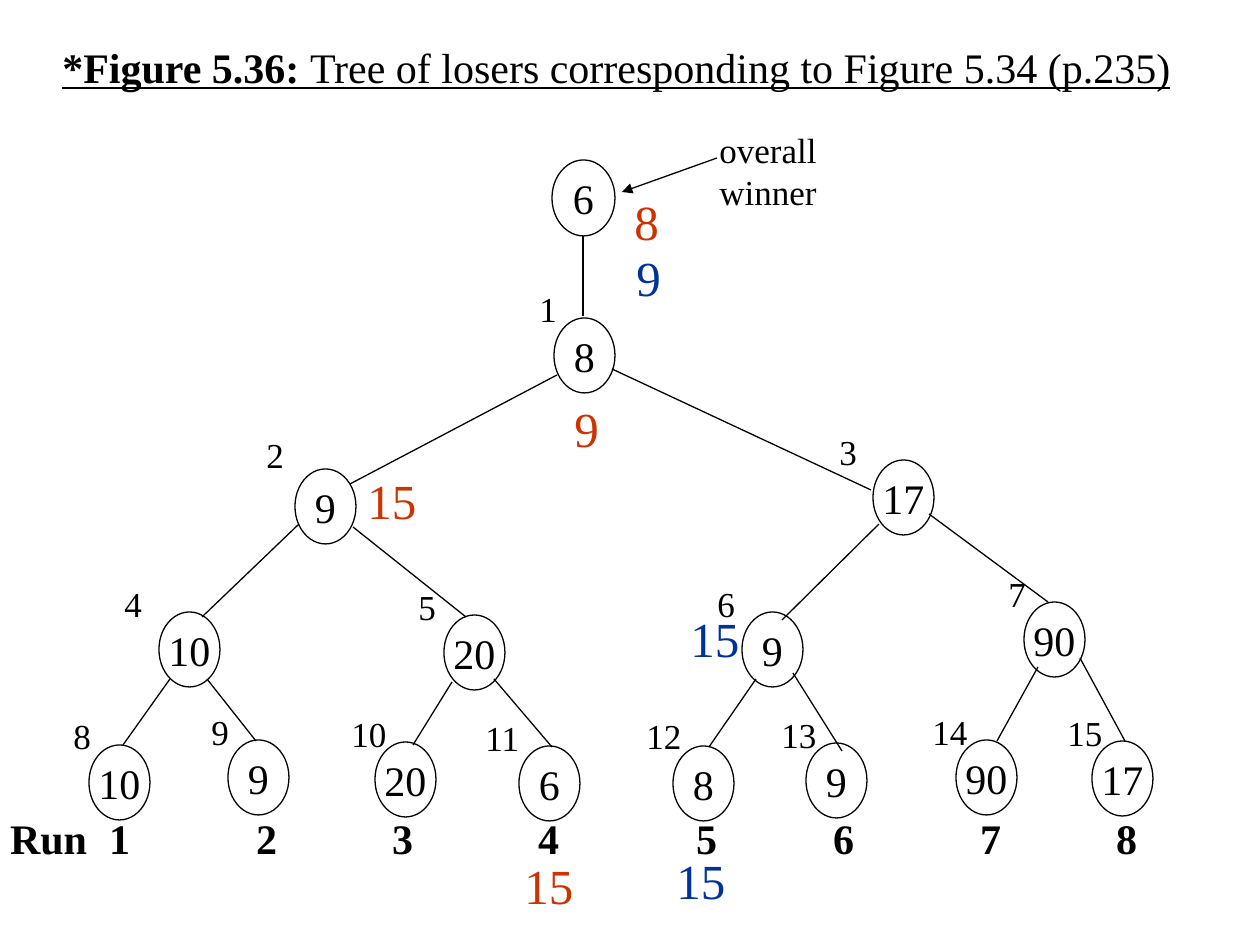
from lxml import etree
from pptx import Presentation
from pptx.dml.color import RGBColor
from pptx.enum.shapes import MSO_CONNECTOR, MSO_SHAPE
from pptx.enum.text import MSO_ANCHOR, PP_ALIGN
from pptx.oxml.ns import qn
from pptx.util import Pt

OVAL = MSO_SHAPE.OVAL
LINE = MSO_CONNECTOR.STRAIGHT
MID = MSO_ANCHOR.MIDDLE
CENTER = PP_ALIGN.CENTER
BLACK = RGBColor(0, 0, 0)
RED = RGBColor(0xCC, 0x33, 0)
BLUE = RGBColor(0, 0x33, 0x99)
FONT = "Times New Roman"
PX = 914400 / 126

# number: (x, y, value, label dx, label dy)
NODES = {
    1: (504, 38, "8", -27, -37),
    2: (245, 189, "9", -41, -42),
    3: (823, 180, "17", -46, -36),
    4: (109, 332, "10", -47, -36),
    5: (394, 335, "20", -38, -36),
    6: (692, 332, "9", -37, -36),
    7: (974, 322, "90", -28, -36),
    8: (39, 465, "10", -28, -37),
    9: (178, 460, "9", -29, -36),
    10: (325, 462, "20", -36, -36),
    11: (469, 466, "6", -46, -36),
    12: (623, 466, "8", -39, -38),
    13: (756, 463, "9", -37, -36),
    14: (906, 460, "90", -36, -36),
    15: (1042, 461, "17", -37, -36),
}

# child: (offset from parent, offset from child)
EDGES = {
    2: (3, 57, 55, 15), 3: (58, 51, -2, 30),
    4: (4, 55, 43, 5), 5: (58, 58, 22, 2),
    6: (6, 64, 40, 8), 7: (56, 54, 24, 0),
    8: (11, 67, 34, 0), 9: (48, 67, 28, 1),
    10: (8, 67, 38, 3), 11: (50, 64, 33, 1),
    12: (14, 67, 36, 1), 13: (51, 61, 36, 8),
    14: (14, 65, 41, 1), 15: (56, 56, 33, 0),
}

MARKS = [
    (512, 849, "15", RED), (355, 464, "15", RED),
    (562, 392, "9", RED), (622, 185, "8", RED),
    (664, 844, "15", BLUE), (678, 602, "15", BLUE),
    (624, 241, "9", BLUE),
]

STOPS = [99, 246, 382, 528, 686, 823, 970, 1106]


def emu(n):
    return round(n * PX)


def add_run(para, words, size, color=BLACK, bold=False, under=False):
    run = para.add_run()
    run.text = words
    font = run.font
    font.name = FONT
    font.size = Pt(size)
    font.bold = bold
    font.underline = under
    font.color.rgb = color


def add_box(shapes, x, y, w, h):
    box = shapes.add_textbox(emu(x), emu(y), emu(w), emu(h))
    box.text_frame.word_wrap = True
    return box.text_frame


def add_node(shapes, x, y, w, h, value):
    node = shapes.add_shape(OVAL, emu(x), emu(y), emu(w), emu(h))
    node.shadow.inherit = False
    node.fill.background()
    node.line.color.rgb = BLACK
    node.line.width = Pt(0.75)
    frame = node.text_frame
    frame.word_wrap = False
    frame.vertical_anchor = MID
    para = frame.paragraphs[0]
    para.alignment = CENTER
    add_run(para, value, 24)


def add_line(shapes, x1, y1, x2, y2, arrow=False):
    line = shapes.add_connector(LINE, emu(x1), emu(y1), emu(x2), emu(y2))
    line.line.color.rgb = BLACK
    line.line.width = Pt(0.75)
    props = line.line._get_or_add_ln()
    if arrow:
        etree.SubElement(props, qn("a:tailEnd"), type="triangle")
    etree.SubElement(props.getparent(), qn("a:effectLst"))


def draw_title(slide, x, y, w, h):
    para = add_box(slide.shapes, x, y, w, h).paragraphs[0]
    add_run(para, "*Figure 5.36: ", 24, bold=True, under=True)
    add_run(para, "Tree of losers corresponding to Figure 5.34 (p.235)", 24, under=True)


def draw_tree(slide, x, y):
    shapes = slide.shapes.add_group_shape().shapes
    for num, (left, top, value, dx, dy) in NODES.items():
        add_node(shapes, x + left, y + top, 61, 75, value)
        label = add_box(shapes, x + left + dx, y + top + dy, 64, 55)
        add_run(label.paragraphs[0], str(num), 20)
    for child, (dx1, dy1, dx2, dy2) in EDGES.items():
        px, py = NODES[child // 2][:2]
        cx, cy = NODES[child][:2]
        add_line(shapes, x + px + dx1, y + py + dy1, x + cx + dx2, y + cy + dy2)


def draw_winner(slide, x, y):
    shapes = slide.shapes
    add_node(shapes, x, y, 63, 76, "6")
    add_line(shapes, x + 31, y + 76, x + 31, y + 156)
    add_line(shapes, x + 165, y - 2, x + 70, y + 32, arrow=True)
    frame = add_box(shapes, x + 155, y - 38, 126, 97)
    add_run(frame.paragraphs[0], "overall", 20)
    add_run(frame.add_paragraph(), "winner", 20)


def draw_runs(slide, x, y, w, h):
    frame = add_box(slide.shapes, x, y, w, h)
    frame.margin_left = frame.margin_right = 0
    para = frame.paragraphs[0]
    tabs = etree.SubElement(para._p.get_or_add_pPr(), qn("a:tabLst"))
    for stop in STOPS:
        etree.SubElement(tabs, qn("a:tab"), pos=str(emu(stop)), algn="l")
    words = ["Run"] + [str(n + 1) for n in range(len(STOPS))]
    add_run(para, "\t".join(words), 24, bold=True)


def draw_marks(slide):
    for x, y, value, color in MARKS:
        frame = add_box(slide.shapes, x, y, 80, 72)
        add_run(frame.paragraphs[0], value, 28, color)


def main():
    deck = Presentation()
    deck.slide_width = emu(1260)
    deck.slide_height = emu(945)
    slide = deck.slides.add_slide(deck.slide_layouts[6])
    draw_tree(slide, 50, 280)
    draw_winner(slide, 552, 160)
    draw_runs(slide, 10, 806, 1180, 63)
    draw_title(slide, 50, 35, 1160, 63)
    draw_marks(slide)
    deck.save("out.pptx")


if __name__ == "__main__":
    main()
